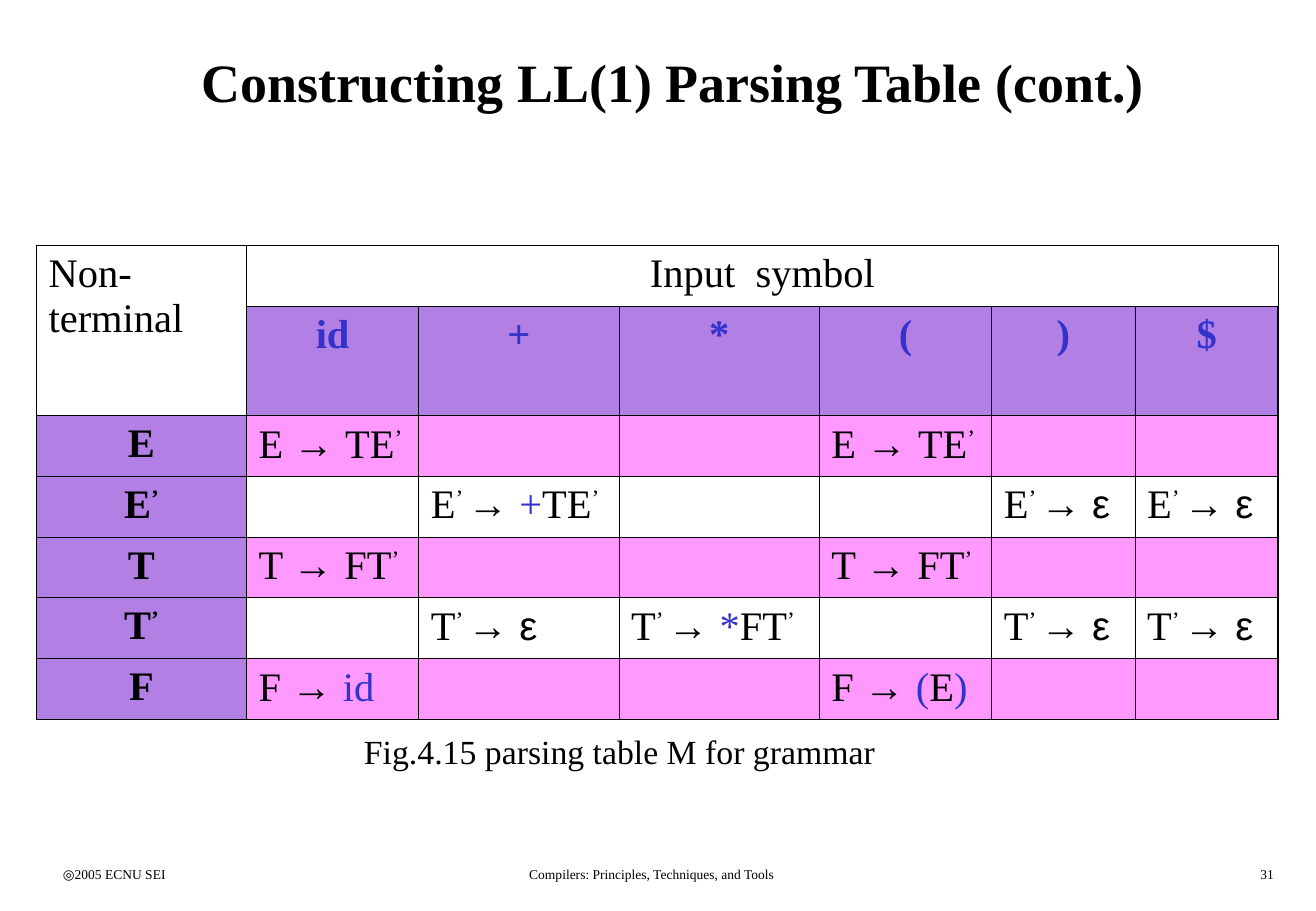
import itertools

import lxml.etree
import pptx
import pptx.dml.color
import pptx.enum.text
import pptx.oxml
import pptx.oxml.ns
import pptx.util

THEME = {
    "serif": "Times New Roman", "sans": "Arial",
    "ink": "000000", "terminal": "3333CC", "header": "6600CC", "stripe": "FF99FF",
    "title": 32, "table": 24, "caption": 20, "footer": 8,
    "outer line": 1.08, "inner line": 0.45,
}
ALIGN = pptx.enum.text.PP_ALIGN
ANCHOR = pptx.enum.text.MSO_ANCHOR
qn = pptx.oxml.ns.qn

deck = pptx.Presentation()
deck.slide_width = pptx.util.Inches(10.84)
deck.slide_height = pptx.util.Inches(7.5)
page = deck.slides.add_slide(deck.slide_layouts[6])
column = deck.slide_width / 100
row = deck.slide_height / 100


def add_span(para, text, size, color="ink", bold=False, font="serif", raised=False):
    span = para.add_run()
    span.text = text
    span.font.name = THEME[font]
    span.font.size = pptx.util.Pt(THEME[size])
    span.font.bold = bold
    span.font.color.rgb = pptx.dml.color.RGBColor.from_string(THEME[color])
    if raised:
        span.font._element.set("baseline", "30000")


def add_symbols(para, text, terminals="", bold=False):
    styles = []
    for symbol in text:
        if symbol == " ":
            styles.append(styles[-1])
        else:
            color = "terminal" if symbol in terminals else "ink"
            font = "sans" if symbol in "→ε" else "serif"
            styles.append((color, font, symbol == "’"))
    for style, group in itertools.groupby(zip(styles, text), lambda pair: pair[0]):
        color, font, raised = style
        part = "".join(symbol for _, symbol in group)
        add_span(para, part, "table", color, bold, font, raised)


texts = [
    ("◎2005 ECNU SEI", 3.87, 94.4, 20.85, 3.33, "footer", ALIGN.LEFT, ANCHOR.TOP),
    ("Compilers: Principles, Techniques, and Tools", 30.81, 94.4, 37.45, 3.33,
     "footer", ALIGN.CENTER, ANCHOR.TOP),
    ("31", 76.85, 94.4, 20.85, 3.33, "footer", ALIGN.RIGHT, ANCHOR.TOP),
    ("Constructing LL(1) Parsing Table (cont.)", 3.87, 2.27, 94.56, 13.33,
     "title", ALIGN.CENTER, ANCHOR.MIDDLE),
    ("Fig.4.15 parsing table M for grammar", 26.75, 79.6, 50.83, 7.33,
     "caption", ALIGN.LEFT, ANCHOR.TOP),
]
for text, left, top, width, height, size, align, anchor in texts:
    box = page.shapes.add_textbox(
        round(left * column), round(top * row), round(width * column), round(height * row))
    box.text_frame.word_wrap = True
    box.text_frame.vertical_anchor = anchor
    para = box.text_frame.paragraphs[0]
    para.alignment = align
    add_span(para, text, size, bold=size == "title")

column_widths = [15.96, 13.1, 15.22, 15.22, 13.1, 10.89, 10.89]
row_heights = [6.67, 12] + [6.67] * 5
grid = [
    ["Non-terminal", "Input  symbol", "", "", "", "", ""],
    ["", "id", "+", "*", "(", ")", "$"],
    ["E", "E → TE’", "", "", "E → TE’", "", ""],
    ["E’", "", "E’ → +TE’", "", "", "E’ → ε", "E’ → ε"],
    ["T", "T → FT’", "", "", "T → FT’", "", ""],
    ["T’", "", "T’ → ε", "T’ → *FT’", "", "T’ → ε", "T’ → ε"],
    ["F", "F → id", "", "", "F → (E)", "", ""],
]
last_row = len(row_heights) - 1
last_column = len(column_widths) - 1
table = page.shapes.add_table(
    len(row_heights), len(column_widths), round(2.77 * column), round(26.93 * row),
    round(sum(column_widths) * column), round(sum(row_heights) * row)).table
table.first_row = False
table.horz_banding = False
for index, width in enumerate(column_widths):
    table.columns[index].width = round(width * column)
for index, height in enumerate(row_heights):
    table.rows[index].height = round(height * row)
table.cell(0, 0).merge(table.cell(1, 0))
table.cell(0, 1).merge(table.cell(0, last_column))

for r, line in enumerate(grid):
    for c, text in enumerate(line):
        cell = table.cell(r, c)
        para = cell.text_frame.paragraphs[0]
        token_header = r == 1 and c > 0
        row_header = r > 1 and c == 0
        if token_header or row_header or (r, c) == (0, 1):
            para.alignment = ALIGN.CENTER
        if token_header:
            add_span(para, text, "table", "terminal", bold=True)
        elif r > 1 and text:
            add_symbols(para, text, "" if row_header else "+*()id", row_header)
        elif text:
            add_span(para, text, "table")

        properties = cell._tc.get_or_add_tcPr()
        if token_header or row_header:
            cell.fill.solid()
            cell.fill.fore_color.rgb = pptx.dml.color.RGBColor.from_string(THEME["header"])
            tint = properties.find(".//" + qn("a:srgbClr"))
            lxml.etree.SubElement(tint, qn("a:alpha"), val="50000")
        elif r > 1 and r % 2 == 0:
            cell.fill.solid()
            cell.fill.fore_color.rgb = pptx.dml.color.RGBColor.from_string(THEME["stripe"])
        else:
            cell.fill.background()

        edges = [("a:lnL", c == 0), ("a:lnR", c == last_column),
                 ("a:lnT", r == 0), ("a:lnB", r == last_row)]
        for position, (edge, outer) in enumerate(edges):
            weight = THEME["outer line" if outer else "inner line"]
            border = lxml.etree.Element(qn(edge), w=str(pptx.util.Pt(weight)))
            paint = lxml.etree.SubElement(border, qn("a:solidFill"))
            lxml.etree.SubElement(paint, qn("a:srgbClr"), val=THEME["ink"])
            properties.insert(position, border)

deck.save("out.pptx")
